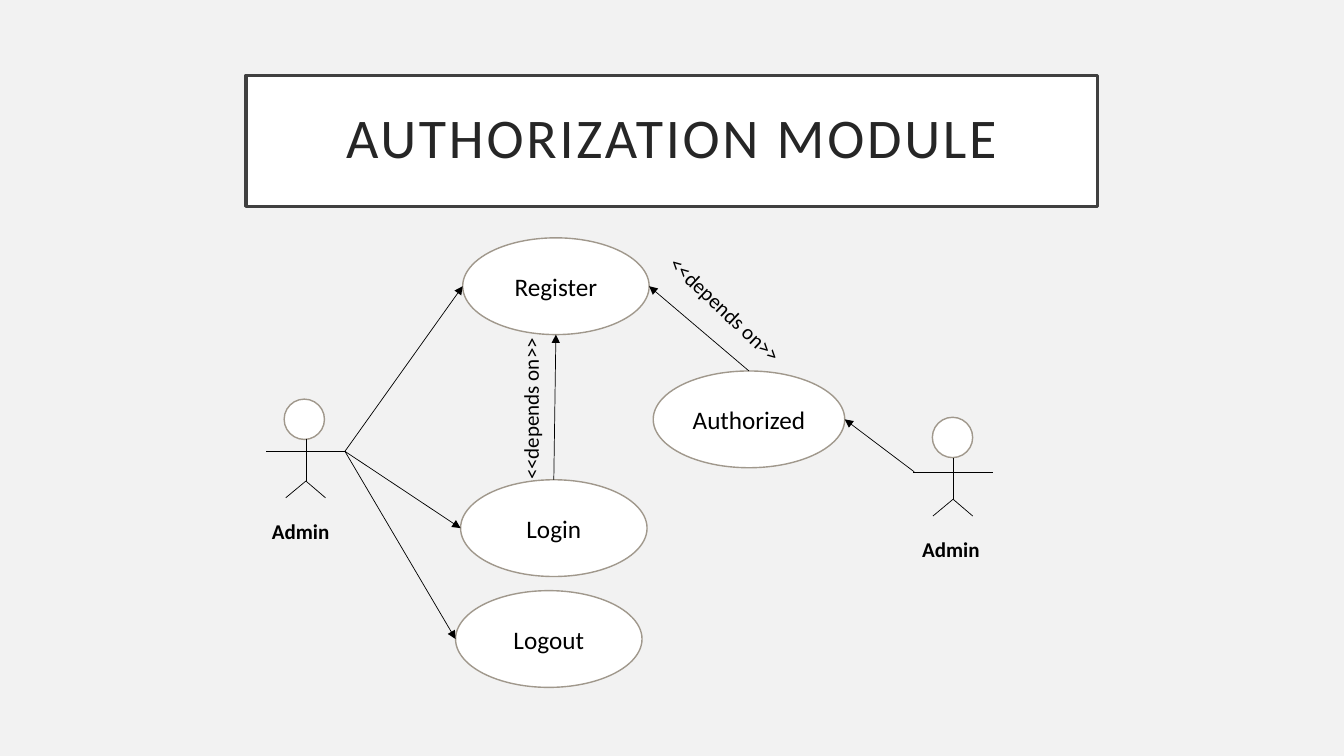
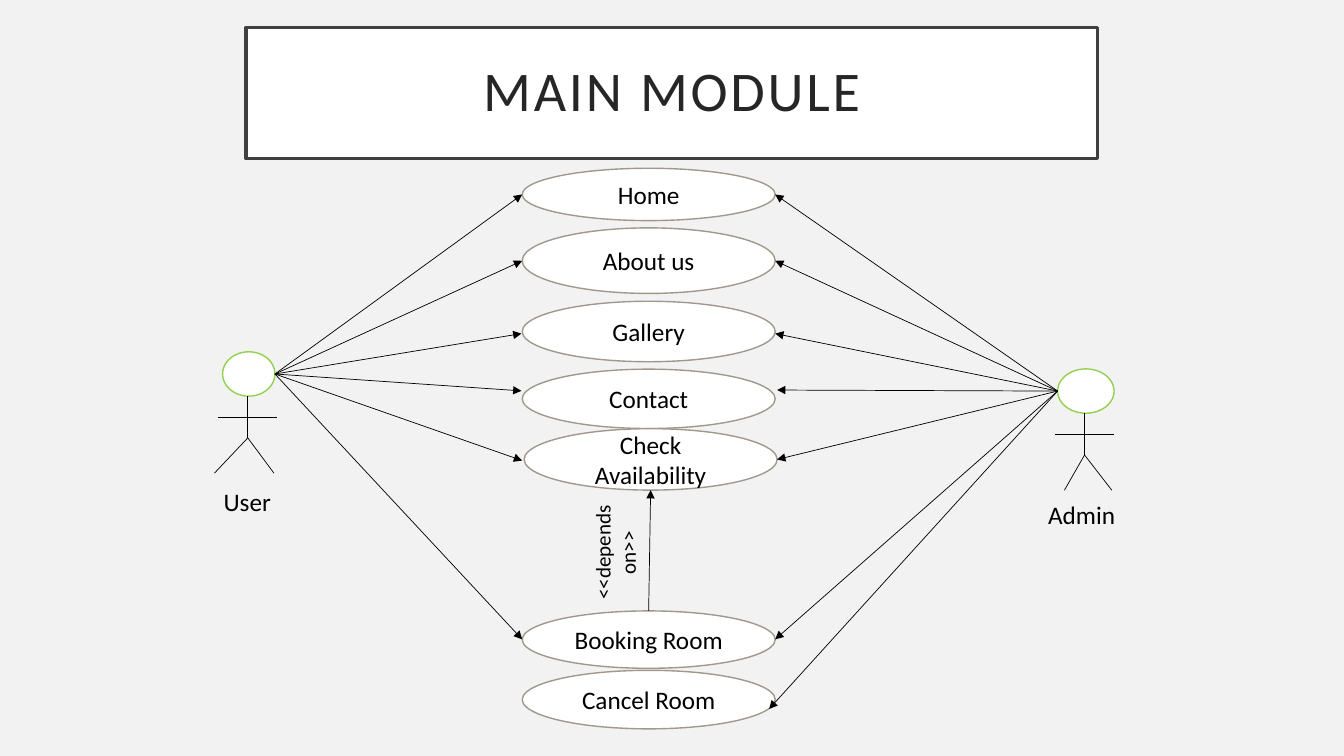
import pptx
import pptx.dml.color
import pptx.enum.shapes
import pptx.enum.text
import pptx.oxml.ns
import pptx.util
from lxml import etree

Pt = pptx.util.Pt
SHAPE = pptx.enum.shapes.MSO_SHAPE
ALIGN = pptx.enum.text.PP_ALIGN
ANCHOR = pptx.enum.text.MSO_ANCHOR

FONT = "Calibri"
COLORS = {
    "background": "F2F2F2",
    "white": "FFFFFF",
    "frame": "404040",
    "title": "262626",
    "text": "000000",
    "outline": "A0988C",
    "green": "92D050",
}


def rgb(name):
    return pptx.dml.color.RGBColor.from_string(COLORS[name])


def write_text(shape, text, size=18, color="text", bold=False, align=ALIGN.LEFT,
               anchor=ANCHOR.TOP, wrap=True, margin=None, line_spacing=None,
               letter_spacing=None):
    """Fill the shape with text, one paragraph for each line."""
    frame = shape.text_frame
    frame.word_wrap = wrap
    frame.vertical_anchor = anchor
    if margin is not None:
        frame.margin_left = frame.margin_right = Pt(margin)
        frame.margin_top = frame.margin_bottom = Pt(margin)
    for number, line in enumerate(text.split("\n")):
        paragraph = frame.add_paragraph() if number else frame.paragraphs[0]
        paragraph.alignment = align
        if line_spacing:
            paragraph.line_spacing = line_spacing
        run = paragraph.add_run()
        run.text = line
        run.font.name = FONT
        run.font.size = Pt(size)
        run.font.bold = bold
        run.font.color.rgb = rgb(color)
        if letter_spacing:
            run.font._element.set("spc", str(letter_spacing * 100))


def side(shape, name):
    """Middle of one side of a shape, in points."""
    left, top = shape.left.pt, shape.top.pt
    width, height = shape.width.pt, shape.height.pt
    return {
        "top": (left + width / 2, top),
        "left": (left, top + height / 2),
        "bottom": (left + width / 2, top + height),
        "right": (left + width, top + height / 2),
    }[name]


class Diagram:
    """Use case slides: a framed title, actors, use cases and arrows."""

    def __init__(self, presentation):
        self.presentation = presentation
        self.slide = None

    def new_slide(self, title, top):
        self.slide = self.presentation.slides.add_slide(self.presentation.slide_layouts[6])
        fill = self.slide.background.fill
        fill.solid()
        fill.fore_color.rgb = rgb("background")
        frame = self.shape(SHAPE.RECTANGLE, (175.7, top, 608.4, 93.6), "frame", 2.5)
        write_text(frame, title, size=40, color="title", align=ALIGN.CENTER,
                   anchor=ANCHOR.MIDDLE, margin=14.4, line_spacing=0.9, letter_spacing=2)

    def shape(self, kind, box, outline="outline", weight=1):
        shape = self.slide.shapes.add_shape(kind, *map(Pt, box))
        shape.shadow.inherit = False
        shape.fill.solid()
        shape.fill.fore_color.rgb = rgb("white")
        shape.line.color.rgb = rgb(outline)
        shape.line.width = Pt(weight)
        return shape

    def use_case(self, name, *box):
        oval = self.shape(SHAPE.OVAL, box)
        write_text(oval, name, align=ALIGN.CENTER, anchor=ANCHOR.MIDDLE)
        return oval

    def line(self, start, end, arrow=False):
        connector = self.slide.shapes.add_connector(
            pptx.enum.shapes.MSO_CONNECTOR.STRAIGHT, *map(Pt, (*start, *end)))
        connector.line.color.rgb = rgb("text")
        connector.line.width = Pt(0.5)
        if arrow:
            etree.SubElement(connector.line._get_or_add_ln(),
                             pptx.oxml.ns.qn("a:tailEnd"), type="triangle")
        etree.SubElement(connector._element.spPr, pptx.oxml.ns.qn("a:effectLst"))

    def arrow(self, start, end):
        self.line(start, end, arrow=True)

    def label(self, text, *box, rotation=0, **style):
        text_box = self.slide.shapes.add_textbox(*map(Pt, box))
        text_box.rotation = rotation
        write_text(text_box, text, **style)

    def actor(self, head_box, center, arm, hip, foot, reach, feet, outline="outline"):
        """Stick figure; arm, hip and foot are depths below the top of the head."""
        head = self.shape(SHAPE.OVAL, head_box, outline)
        top = head_box[1]
        self.line((center, top + head_box[3]), (center, top + hip))
        self.line((center - reach, top + arm), (center + reach, top + arm))
        for offset in feet:
            self.line((center, top + hip), (center + offset, top + foot))
        return head


def authorization_slide(diagram):
    diagram.new_slide("AUTHORIZATION MODULE", 53.8)
    figure = {"arm": 37.5, "hip": 58.5, "foot": 70.5, "reach": 28.4, "feet": (-14.4, 14)}
    diagram.actor((203, 285.1, 28.8, 28.8), 218.5, **figure)
    diagram.actor((666, 298.1, 28.8, 28.8), 680.8, **{**figure, "arm": 39.3})

    authorized = diagram.use_case("Authorized", 466.6, 265, 136.8, 69.1)
    register, login, logout = [
        diagram.use_case(name, left, top, 133.2, 69.1)
        for name, left, top in (("Register", 330.5, 169.9),
                                ("Login", 329, 342.7),
                                ("Logout", 325.4, 421.9))]

    for oval in (register, login, logout):
        diagram.arrow((246.4, 322.4), side(oval, "left"))
    diagram.arrow((653, 337), side(authorized, "right"))
    diagram.arrow(side(login, "top"), side(register, "bottom"))
    diagram.arrow(side(authorized, "top"), side(register, "right"))

    for left, top, rotation in ((317.5, 275.8, 270), (459.4, 211, 43.3)):
        diagram.label("<<depends on>>", left, top, 123.1, 25.2, rotation=rotation, size=15)
    for left, top in ((187.2, 366.5), (651.6, 379.8)):
        diagram.label("Admin", left, top, 72, 25.2, size=15, bold=True)


def main_slide(diagram):
    diagram.new_slide("MAIN MODULE", 19.7)
    figure = {"arm": 47, "hip": 61.5, "foot": 86.7, "reach": 21.2, "outline": "green"}
    user = diagram.actor((159, 251.3, 37.4, 31.7), 177, feet=(-23.8, 18.7), **figure)
    admin = diagram.actor((755.5, 263.5, 40.3, 31.7), 774.7, feet=(-14.4, 19.5), **figure)

    # name, left, top, height, arrow end from the user, arrow end from the admin
    rows = [
        ("Home", 373, 120.2, 37.4, (373, 138.9), (553.7, 138.9)),
        ("About us", 373, 162.8, 46.8, (373, 186.3), (553.7, 186.3)),
        ("Gallery", 373, 215.2, 43.2, (372.5, 238.3), (553.7, 238.3)),
        ("Contact", 373, 263.7, 42.4, (372.5, 279.2), (555.1, 278.6)),
        ("Check Availability", 374.4, 306.2, 43.9, (373, 329), (555.1, 328.2)),
        ("Booking Room", 373, 436.4, 41, (373, 456.7), (553.7, 456.7)),
        ("Cancel Room", 373, 478.8, 41.8, None, (549.4, 506.4)),
    ]
    ovals = {}
    for name, left, top, height, user_end, admin_end in rows:
        ovals[name] = diagram.use_case(name, left, top, 180.7, height)
        if user_end:
            diagram.arrow(side(user, "right"), user_end)
        diagram.arrow(side(admin, "left"), admin_end)
    diagram.arrow(side(ovals["Booking Room"], "top"),
                  side(ovals["Check Availability"], "bottom"))

    diagram.label("User", 152.6, 343.6, 49, 28.8, wrap=False)
    diagram.label("Admin", 741.6, 353.2, 62.6, 28.8, wrap=False)
    diagram.label("<<depends\non>>", 398.2, 372.8, 82.8, 43.9,
                  rotation=270, size=15, align=ALIGN.CENTER)


def main():
    presentation = pptx.Presentation()
    presentation.slide_width = Pt(960)
    presentation.slide_height = Pt(540)
    diagram = Diagram(presentation)
    authorization_slide(diagram)
    main_slide(diagram)
    presentation.save("out.pptx")


if __name__ == "__main__":
    main()
